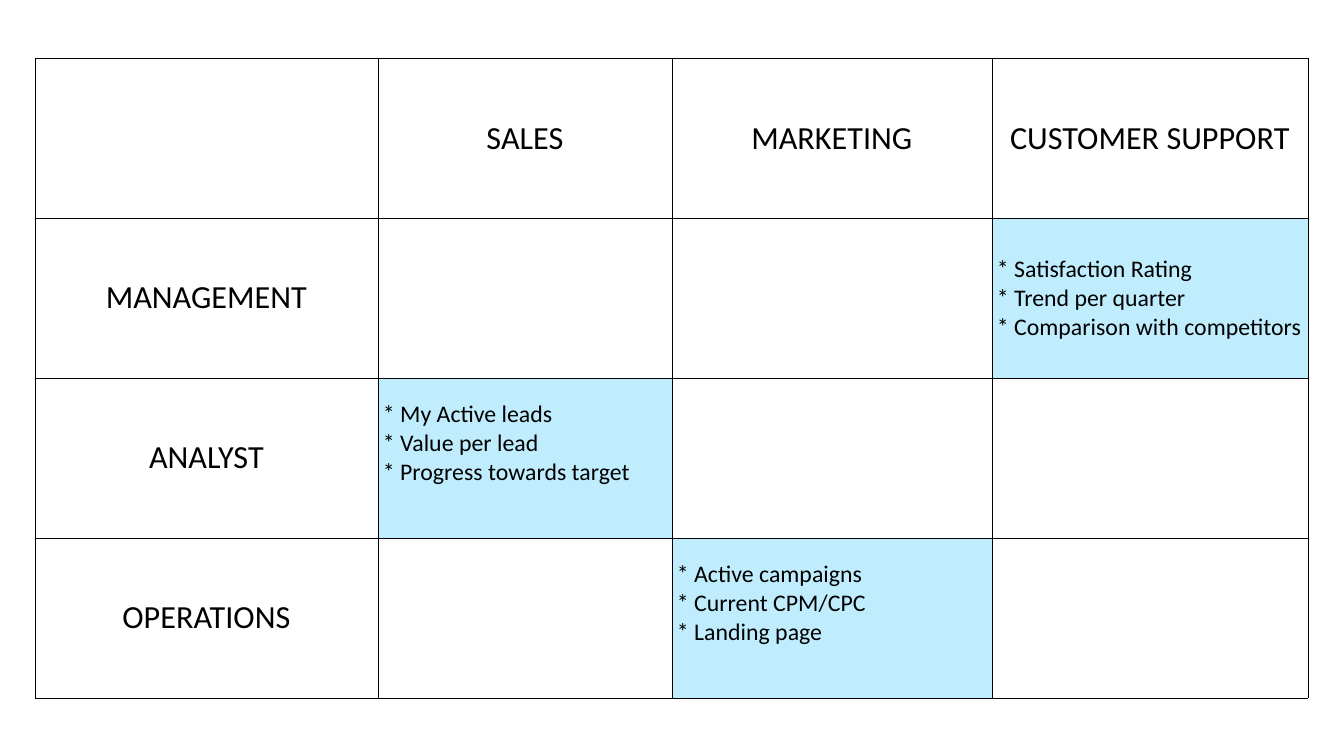
from lxml.etree import SubElement
from pptx import Presentation
from pptx.dml.color import RGBColor
from pptx.enum.text import MSO_ANCHOR, PP_ALIGN
from pptx.oxml.ns import qn
from pptx.util import Pt

SCALE = 914400 / 100.8
COLUMN_WIDTHS = [343, 294, 320, 316]
ROW_HEIGHT = 160
DEPARTMENTS = ["SALES", "MARKETING", "CUSTOMER SUPPORT"]
ROLES = ["MANAGEMENT", "ANALYST", "OPERATIONS"]
METRICS = {
    (1, 3): (["* Satisfaction Rating", "* Trend per quarter", "* Comparison with competitors"], 4),
    (2, 1): (["* My Active leads", "* Value per lead", "* Progress towards target"], 33),
    (3, 2): (["* Active campaigns", "* Current CPM/CPC", "* Landing page"], 33),
}
HEADING = {"size": Pt(23), "name": "Calibri", "bold": False}
METRIC = {"size": Pt(17), "name": "Calibri", "bold": False}


def px(length):
    return round(length * SCALE)


def color(value):
    return RGBColor.from_string(value)


def add_borders(cell):
    properties = cell._tc.get_or_add_tcPr()
    for position, side in enumerate(("lnL", "lnR", "lnT", "lnB")):
        line = properties.makeelement(qn(f"a:{side}"), {"w": str(Pt(0.25))})
        fill = SubElement(line, qn("a:solidFill"))
        SubElement(fill, qn("a:srgbClr"), val="000000")
        properties.insert(position, line)


def write_cell(cell, lines, text_format, alignment, bottom_margin=4):
    margins = {"margin_left": 5, "margin_right": 5, "margin_top": 4, "margin_bottom": bottom_margin}
    for name, value in margins.items():
        setattr(cell, name, px(value))
    cell.vertical_anchor = MSO_ANCHOR.MIDDLE
    cell.text = "\n".join(lines)
    for paragraph in cell.text_frame.paragraphs:
        paragraph.alignment = alignment
        font = paragraph.runs[0].font
        for name, value in text_format.items():
            setattr(font, name, value)
        font.color.rgb = color("000000")


def add_metrics_table(slide, left, top):
    row_count = len(ROLES) + 1
    frame = slide.shapes.add_table(
        row_count, len(COLUMN_WIDTHS), px(left), px(top),
        px(sum(COLUMN_WIDTHS)), px(ROW_HEIGHT * row_count))
    table = frame.table
    table.first_row = False
    table.horz_banding = False
    for column, width in zip(table.columns, COLUMN_WIDTHS):
        column.width = px(width)
    for row in table.rows:
        row.height = px(ROW_HEIGHT)
    for cell in table.iter_cells():
        cell.fill.background()
        add_borders(cell)
    for index, department in enumerate(DEPARTMENTS, 1):
        write_cell(table.cell(0, index), [department], HEADING, PP_ALIGN.CENTER)
    for index, role in enumerate(ROLES, 1):
        write_cell(table.cell(index, 0), [role], HEADING, PP_ALIGN.CENTER)
    for (row_index, column_index), (lines, bottom_margin) in METRICS.items():
        cell = table.cell(row_index, column_index)
        cell.fill.solid()
        cell.fill.fore_color.rgb = color("C0EDFE")
        write_cell(cell, lines, METRIC, PP_ALIGN.LEFT, bottom_margin)


def main():
    presentation = Presentation()
    presentation.slide_width = px(1344)
    presentation.slide_height = px(756)
    slide = presentation.slides.add_slide(presentation.slide_layouts[6])
    add_metrics_table(slide, 35, 58)
    presentation.save("out.pptx")


if __name__ == "__main__":
    main()
